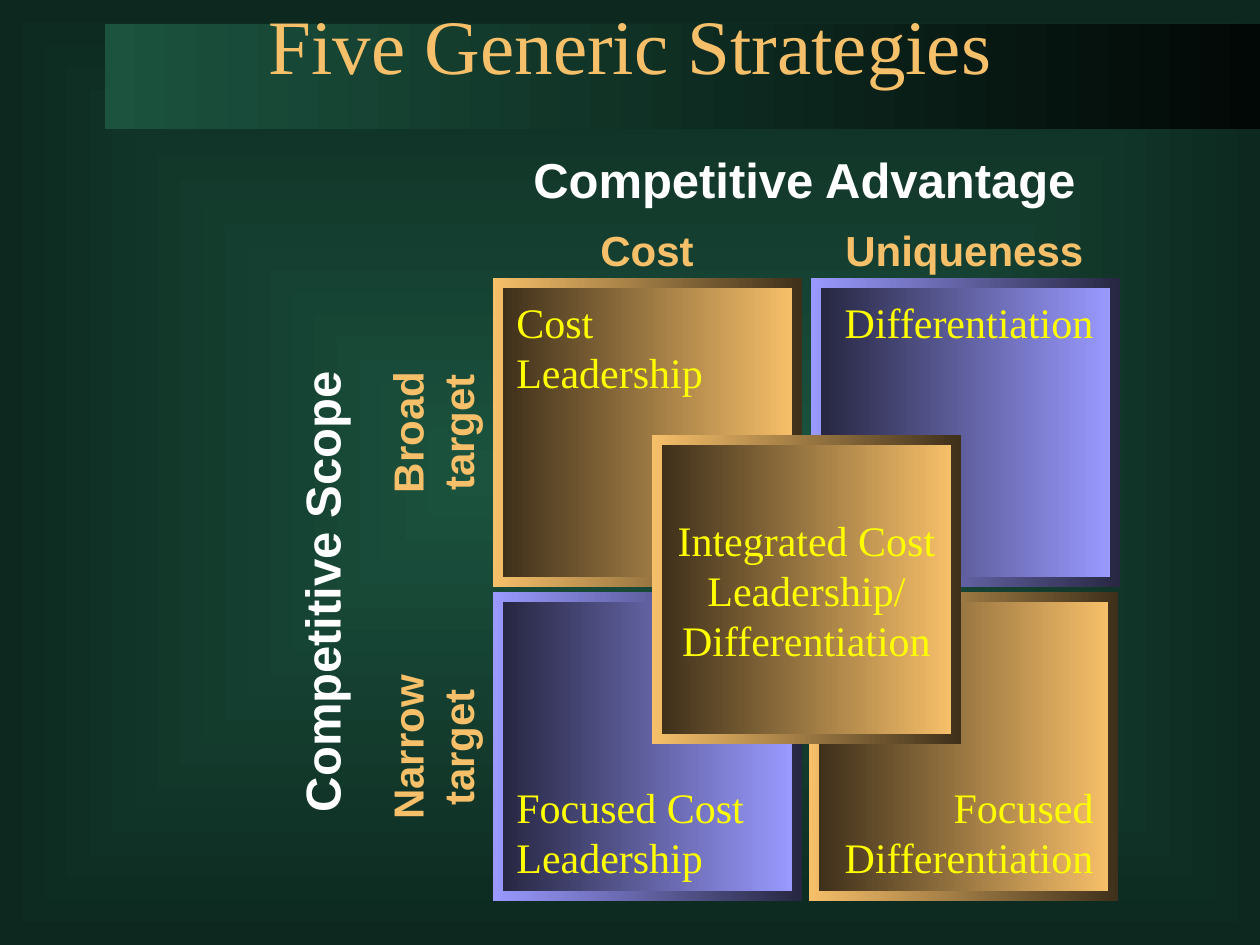
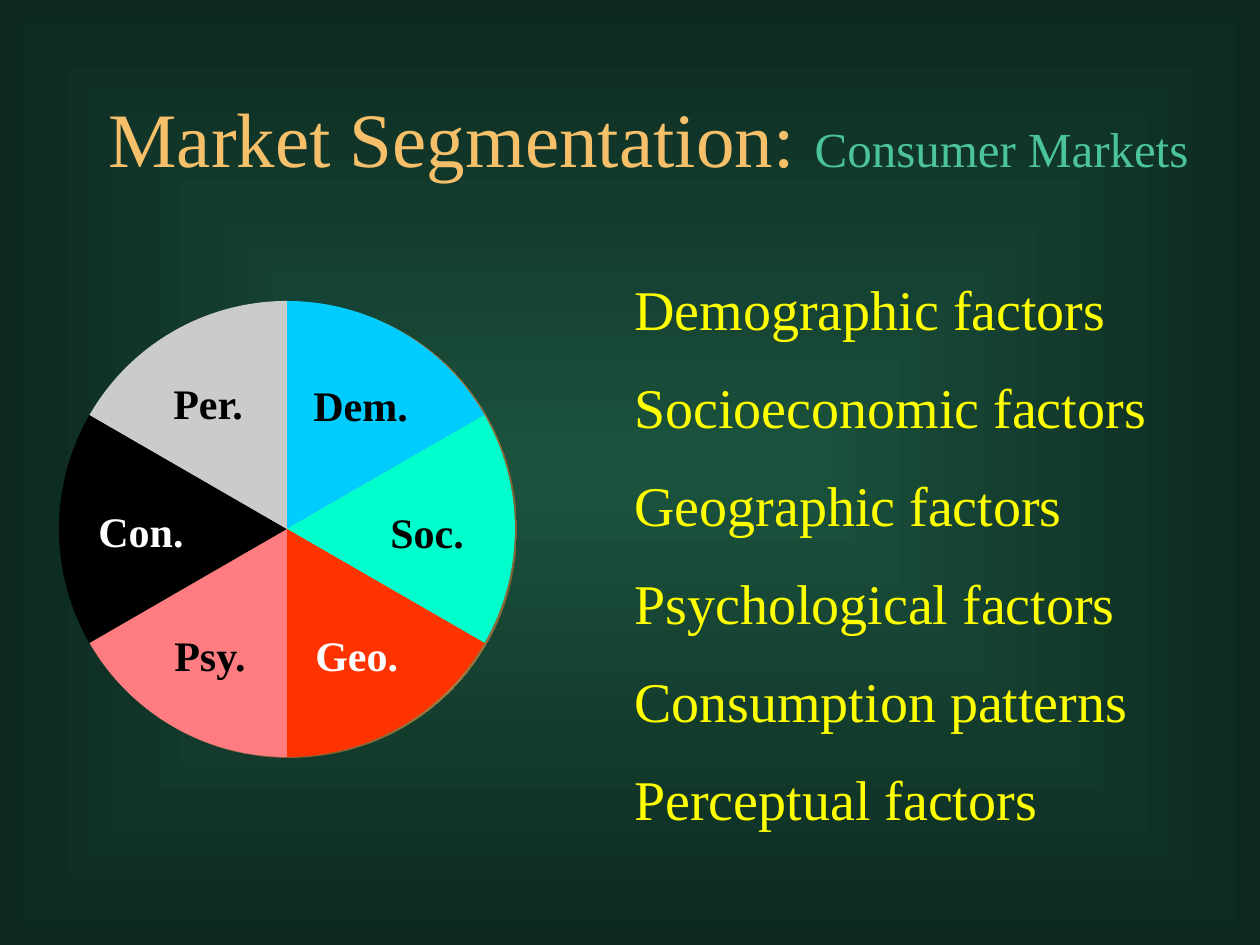
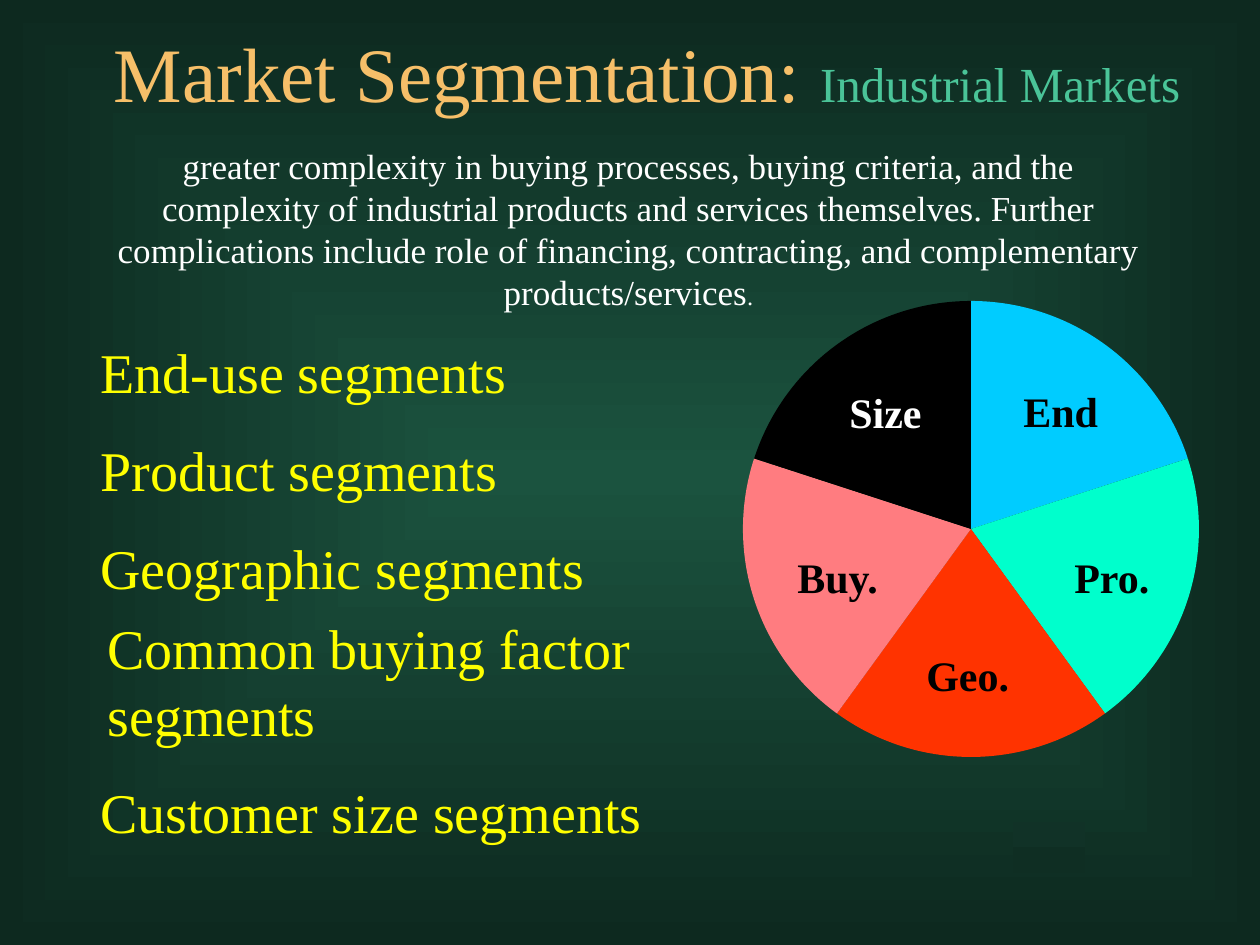
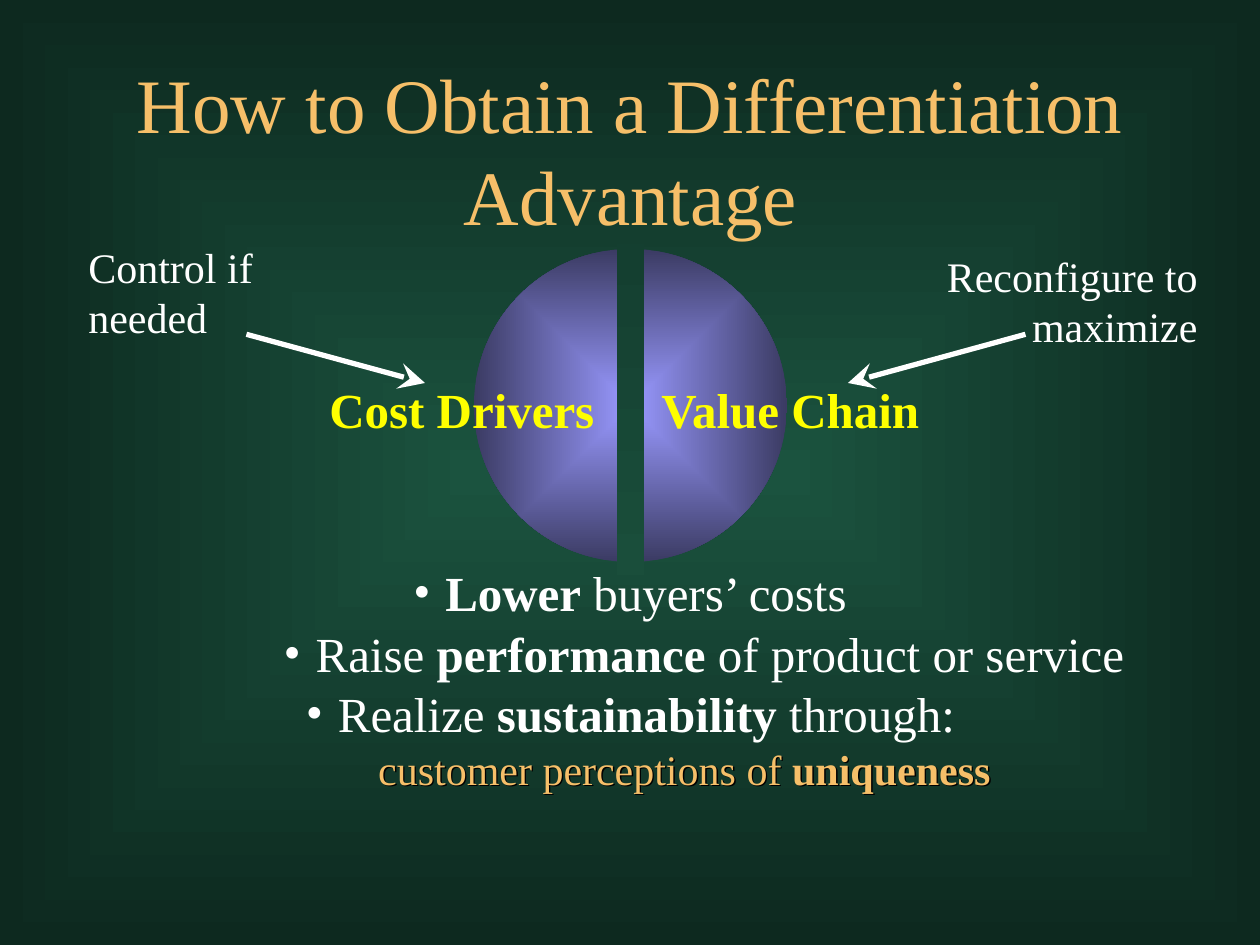
"""Builds four slides on generic strategies, market segmentation and differentiation."""
from dataclasses import dataclass
import math

from lxml import etree
from pptx import Presentation
from pptx.dml.color import RGBColor
from pptx.enum import shapes, text
from pptx.oxml import ns
from pptx.util import Emu, Pt

PIXEL = 914400 // 126
SERIF, SANS = "Times New Roman", "Arial"
GREEN, DARK_GREEN, MINT = "1B533F", "0D291F", "4AC498"
GOLD, DARK_GOLD = "F6BF69", "3F301B"
VIOLET, DARK_VIOLET = "9999FF", "272742"
YELLOW, WHITE, BLACK = "FFFF00", "FFFFFF", "000000"
CYAN, AQUA, RED, PINK, GREY = "00CCFF", "00FFCC", "FF3300", "FF7C80", "CBCBCB"
LEFT, CENTER, RIGHT = text.PP_ALIGN.LEFT, text.PP_ALIGN.CENTER, text.PP_ALIGN.RIGHT
RECTANGLE, OVAL = shapes.MSO_SHAPE.RECTANGLE, shapes.MSO_SHAPE.OVAL
PIE_TOP, PIE_RADIUS = 301, 228
LIST_STEP = 98


@dataclass
class Run:
    """A stretch of text that may differ from its paragraph."""
    words: str
    bold: bool | None = None
    size: int | None = None
    colour: str | None = None


@dataclass
class Slice:
    """A pie slice with the place of its label."""
    label: str
    fill: str
    left: int
    top: int
    width: int
    colour: str = BLACK


@dataclass
class Quadrant:
    """A bevelled square of the strategy matrix."""
    left: int
    top: int
    light: str
    dark: str


@dataclass
class Item:
    """A line of a list with the width of its box."""
    words: str
    width: int


def px(length: float) -> Emu:
    """Turn pixels into EMU."""
    return Emu(round(length * PIXEL))


def rgb(colour: str) -> RGBColor:
    """Turn a hex string into a colour."""
    return RGBColor.from_string(colour)


def add_element(parent, tag: str, **attributes):
    """Append a DrawingML element to a parent."""
    return etree.SubElement(parent, ns.qn(tag), attributes)


def set_gradient(fill, start: str, end: str, angle: int | None = None) -> None:
    """Apply a two-colour gradient, from the centre when no angle is given."""
    fill.gradient()
    for stop, colour, position in zip(fill.gradient_stops, (start, end), (0, 1)):
        stop.color.rgb = rgb(colour)
        stop.position = position
    fill.gradient_angle = angle or 0
    if angle is None:
        linear = fill._fill._gradFill.find(ns.qn("a:lin"))
        gradient = linear.getparent()
        gradient.remove(linear)
        route = add_element(gradient, "a:path")
        route.set("path", "shape")
        add_element(route, "a:fillToRect", l="50000", t="50000", r="50000", b="50000")


def add_gradient_shape(slide, kind, left: int, top: int, width: int, height: int,
                       start: str, end: str, angle: int | None = None) -> None:
    """Draw a borderless preset shape with a gradient."""
    shape = slide.shapes.add_shape(kind, px(left), px(top), px(width), px(height))
    shape.shadow.inherit = False
    shape.line.fill.background()
    set_gradient(shape.fill, start, end, angle)


def add_bullet(paragraph, bullet: str) -> None:
    """Give a paragraph a hanging indent and a bullet."""
    properties = paragraph._p.get_or_add_pPr()
    properties.set("marL", str(px(32)))
    properties.set("indent", str(px(-32)))
    add_element(properties, "a:buFont", typeface=SERIF)
    add_element(properties, "a:buChar", char=bullet)


def add_shadow(box) -> None:
    """Cast a small black shadow from the text of a box."""
    effects = add_element(box._element.spPr, "a:effectLst")
    shadow = add_element(effects, "a:outerShdw", dist=str(px(2)), dir="2700000", algn="ctr")
    add_element(shadow, "a:srgbClr", val=BLACK)


def add_text(slide, content: str | list[Run], left: int, top: int, width: int, height: int, *,
             size: int = 24, colour: str = YELLOW, font: str = SERIF, bold: bool = False,
             align=LEFT, wrap: bool = True, grow: bool = True, rotation: int = 0,
             bullet: str = "", shadow: bool = False) -> None:
    """Place text with the given format; each line of a string is a paragraph."""
    box = slide.shapes.add_textbox(px(left), px(top), px(width), px(height))
    box.rotation = rotation
    frame = box.text_frame
    frame.word_wrap = wrap
    frame.auto_size = (text.MSO_AUTO_SIZE.SHAPE_TO_FIT_TEXT if grow
                       else text.MSO_AUTO_SIZE.NONE)
    if shadow:
        add_shadow(box)
    lines = ([[Run(line)] for line in content.split("\n")]
             if isinstance(content, str) else [content])
    for index, parts in enumerate(lines):
        paragraph = frame.add_paragraph() if index else frame.paragraphs[0]
        paragraph.alignment = align
        if bullet:
            add_bullet(paragraph, bullet)
        for part in parts:
            run = paragraph.add_run()
            run.text = part.words
            run.font.name = font
            run.font.size = Pt(part.size or size)
            run.font.bold = bold if part.bold is None else part.bold
            run.font.color.rgb = rgb(part.colour or colour)


def add_slide(presentation):
    """Add a blank slide with the shared background."""
    slide = presentation.slides.add_slide(presentation.slide_layouts[6])
    set_gradient(slide.background.fill, GREEN, DARK_GREEN)
    return slide


def add_title(slide, title: str, left: int, top: int, width: int, subtitle: str = "") -> None:
    """Write the centred title and an optional smaller subtitle."""
    parts = [Run(title)]
    if subtitle:
        parts = [Run(title + " "), Run(subtitle, size=28, colour=MINT)]
    add_text(slide, parts, left, top, width, 158, size=44, colour=GOLD, align=CENTER, grow=False)


def add_quadrant(slide, quadrant: Quadrant) -> None:
    """Draw a bevelled square from two opposite gradients."""
    side, bevel = 309, 10
    add_gradient_shape(slide, RECTANGLE, quadrant.left, quadrant.top, side, side,
                       quadrant.light, quadrant.dark, 0)
    add_gradient_shape(slide, RECTANGLE, quadrant.left + bevel, quadrant.top + bevel,
                       side - 2 * bevel, side - 2 * bevel, quadrant.dark, quadrant.light, 0)


def arc_points(start: float, end: float) -> list[tuple[float, float]]:
    """Give the Bezier points of a clockwise unit arc, split at quarter turns."""
    quarters = [turn * 90 for turn in range(5) if start < turn * 90 < end]
    stops = [math.radians(angle) for angle in [start, *quarters, end]]
    points = [(math.sin(stops[0]), -math.cos(stops[0]))]
    for first, last in zip(stops, stops[1:]):
        reach = 4 / 3 * math.tan((last - first) / 4)
        points += [(math.sin(first) + reach * math.cos(first),
                    -math.cos(first) + reach * math.sin(first)),
                   (math.sin(last) - reach * math.cos(last),
                    -math.cos(last) - reach * math.sin(last)),
                   (math.sin(last), -math.cos(last))]
    return points


def curve_outline(shape) -> None:
    """Join all segments after the first, three at a time, into curves."""
    segments = list(shape._element.iter(ns.qn("a:lnTo")))[1:]
    for first in range(0, len(segments), 3):
        curve = etree.Element(ns.qn("a:cubicBezTo"))
        segments[first].addprevious(curve)
        for segment in segments[first:first + 3]:
            curve.append(segment[0])
            segment.getparent().remove(segment)


def add_pie(slide, center_x: int, slices: list[Slice]) -> None:
    """Draw equal slices clockwise from the top, each with its label."""
    sweep = 360 / len(slices)
    center_y = PIE_TOP + PIE_RADIUS
    for index, part in enumerate(slices):
        arc = [(px(center_x + PIE_RADIUS * x), px(center_y + PIE_RADIUS * y))
               for x, y in arc_points(sweep * index, sweep * (index + 1))]
        builder = slide.shapes.build_freeform(px(center_x), px(center_y))
        builder.add_line_segments(arc, close=True)
        shape = builder.convert_to_shape()
        curve_outline(shape)
        shape.shadow.inherit = False
        shape.fill.solid()
        shape.fill.fore_color.rgb = rgb(part.fill)
        shape.line.fill.background()
        add_text(slide, part.label, part.left, part.top, part.width, 63,
                 colour=part.colour, bold=True, wrap=False)


def add_list(slide, items: list[Item], left: int, top: int) -> None:
    """Write evenly spaced lines."""
    for index, item in enumerate(items):
        add_text(slide, item.words, left, top + index * LIST_STEP, item.width, 79, size=32)


def add_arrow(slide, start: tuple[int, int], end: tuple[int, int]) -> None:
    """Draw a white line ending in a large stealth head."""
    connector = slide.shapes.add_connector(
        shapes.MSO_CONNECTOR.STRAIGHT, *map(px, start + end))
    connector.line.color.rgb = rgb(WHITE)
    connector.line.width = Pt(3)
    line = connector.line._get_or_add_ln()
    line.set("cap", "sq")
    add_element(line, "a:tailEnd", type="stealth", w="lg", len="lg")
    add_element(connector._element.spPr, "a:effectLst")


def build_strategies(presentation) -> None:
    """Build the matrix of five generic strategies."""
    slide = add_slide(presentation)
    add_gradient_shape(slide, RECTANGLE, 0, 0, 1260, 945, GREEN, DARK_GREEN)
    add_gradient_shape(slide, RECTANGLE, 105, 24, 1155, 105, GREEN, "020806", 0)
    add_title(slide, "Five Generic Strategies", 95, -9, 1071)
    axis = dict(size=28, colour=WHITE, font=SANS, bold=True, wrap=False)
    add_text(slide, "Competitive Advantage", 521, 143, 573, 72, **axis)
    add_text(slide, "Competitive Scope", 87, 554, 469, 72, rotation=270, **axis)
    heading = dict(colour=GOLD, font=SANS, bold=True)
    add_text(slide, "Cost", 588, 218, 121, 63, wrap=False, **heading)
    add_text(slide, "Uniqueness", 833, 218, 265, 63, wrap=False, **heading)
    add_text(slide, "Broad target", 345, 376, 174, 113, align=CENTER, rotation=270, **heading)
    add_text(slide, "Narrow target", 340, 691, 184, 113, align=CENTER, rotation=270, **heading)
    for quadrant in (Quadrant(493, 278, GOLD, DARK_GOLD), Quadrant(809, 592, GOLD, DARK_GOLD),
                     Quadrant(811, 278, VIOLET, DARK_VIOLET),
                     Quadrant(493, 592, VIOLET, DARK_VIOLET)):
        add_quadrant(slide, quadrant)
    add_text(slide, "Cost Leadership", 504, 290, 263, 113)
    add_text(slide, "Differentiation", 830, 290, 276, 63, align=RIGHT, wrap=False)
    add_text(slide, "Focused Cost Leadership", 504, 775, 262, 113)
    add_text(slide, "Focused Differentiation", 828, 775, 278, 113, align=RIGHT)
    add_quadrant(slide, Quadrant(652, 435, GOLD, DARK_GOLD))
    add_text(slide, "Integrated Cost\nLeadership/\nDifferentiation", 663, 508, 287, 164,
             align=CENTER)


def build_consumer_markets(presentation) -> None:
    """Build the consumer segmentation slide."""
    slide = add_slide(presentation)
    add_title(slide, "Market Segmentation:", 94, 84, 1109, "Consumer Markets")
    add_list(slide, [
        Item("Demographic factors", 572), Item("Socioeconomic factors", 539),
        Item("Geographic factors", 455), Item("Psychological factors", 509),
        Item("Consumption patterns", 521), Item("Perceptual factors", 430)], 622, 268)
    add_gradient_shape(slide, OVAL, 61, 302, 456, 456, GOLD, "7F6336")
    add_pie(slide, 287, [
        Slice("Dem.", CYAN, 301, 373, 123), Slice("Soc.", AQUA, 378, 500, 101),
        Slice("Geo.", RED, 303, 623, 111, WHITE), Slice("Psy.", PINK, 162, 623, 101),
        Slice("Con.", BLACK, 86, 499, 113, WHITE), Slice("Per.", GREY, 161, 371, 101)])


def build_industrial_markets(presentation) -> None:
    """Build the industrial segmentation slide."""
    slide = add_slide(presentation)
    add_gradient_shape(slide, RECTANGLE, 1013, 822, 72, 51, "113227", "0F2E23", 270)
    add_title(slide, "Market Segmentation:", 94, 19, 1106, "Industrial Markets")
    add_list(slide, [Item("End-use segments", 572), Item("Product segments", 424),
                     Item("Geographic segments", 547)], 88, 331)
    add_text(slide, "Common buying factor segments", 95, 607, 656, 147, size=32)
    add_text(slide, "Customer size segments", 88, 771, 569, 79, size=32, wrap=False)
    add_pie(slide, 971, [
        Slice("End", CYAN, 1011, 379, 103), Slice("Pro.", AQUA, 1062, 545, 103),
        Slice("Geo.", RED, 914, 643, 111), Slice("Buy.", PINK, 785, 545, 111),
        Slice("Size", BLACK, 837, 380, 101, WHITE)])
    add_text(slide, [
        Run("greater complexity in buying processes, buying criteria, and the complexity of "
            "industrial products and services themselves. Further complications include role of "
            "financing, contracting, and complementary products/services"),
        Run(".", size=14)], 95, 138, 1067, 233, size=20, colour=WHITE, align=CENTER)


def build_differentiation(presentation) -> None:
    """Build the differentiation advantage slide."""
    slide = add_slide(presentation)
    add_title(slide, "How to Obtain a Differentiation Advantage", 95, 50, 1071)
    add_gradient_shape(slide, OVAL, 474, 249, 313, 313, VIOLET, "3B3B63")
    add_gradient_shape(slide, RECTANGLE, 617, 244, 27, 331, "143F30", "1A4E3B", 270)
    label = dict(size=28, bold=True, wrap=False)
    add_text(slide, "Cost Drivers", 317, 373, 293, 72, **label)
    add_text(slide, "Value Chain", 649, 373, 290, 72, **label)
    add_text(slide, "Control if needed", 76, 235, 292, 113, colour=WHITE)
    add_text(slide, "Reconfigure to maximize", 833, 244, 377, 113, colour=WHITE, align=RIGHT)
    add_arrow(slide, (249, 335), (425, 383))
    add_arrow(slide, (1023, 335), (848, 383))
    add_text(slide, [Run("customer perceptions of "), Run("uniqueness", bold=True)],
             256, 737, 747, 63, colour=GOLD, align=RIGHT, shadow=True)
    point = dict(size=28, colour=WHITE, align=CENTER, bullet="•")
    add_text(slide, [Run("Raise "), Run("performance", bold=True),
                     Run(" of product or service")], 198, 617, 1012, 72, **point)
    add_text(slide, [Run("Lower", bold=True), Run(" buyers’ costs")], 370, 556, 520, 71, **point)
    add_text(slide, [Run("Realize "), Run("sustainability ", bold=True), Run("through:")],
             282, 677, 697, 71, **point)


def main() -> None:
    """Build and save the presentation."""
    presentation = Presentation()
    presentation.slide_width, presentation.slide_height = px(1260), px(945)
    build_strategies(presentation)
    build_consumer_markets(presentation)
    build_industrial_markets(presentation)
    build_differentiation(presentation)
    presentation.save("out.pptx")


main()
